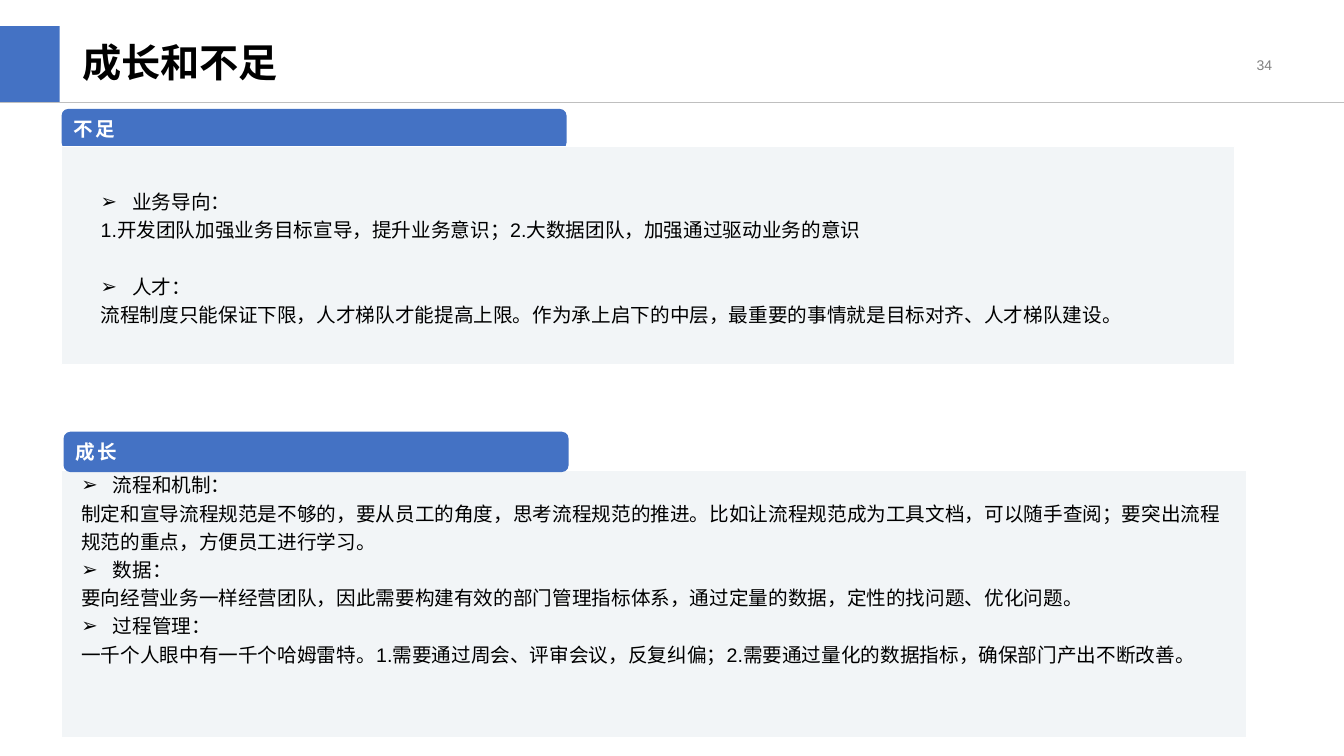
import pptx
import pptx.dml.color
import pptx.enum.shapes
import pptx.enum.text
import pptx.oxml
import pptx.oxml.ns
import pptx.util
from lxml import etree

Pt = pptx.util.Pt
SHAPES = pptx.enum.shapes.MSO_SHAPE
ANCHOR = pptx.enum.text.MSO_ANCHOR
ALIGN = pptx.enum.text.PP_ALIGN
qn = pptx.oxml.ns.qn

COLORS = {"accent": "4472C4", "panel": "F2F5F7", "white": "FFFFFF",
          "black": "000000", "rule": "BFBFBF", "number": "808080"}
HEADING_FONT = "Noto Sans CJK SC"
BODY_FONT = "Arial"
BODY_SIZE = 14
HANGING = 22.5
BLANK_LINE = 20.1

SHORTCOMINGS = [
    ("业务导向：",
     "1.开发团队加强业务目标宣导，提升业务意识；2.大数据团队，加强通过驱动业务的意识"),
    ("人才：",
     "流程制度只能保证下限，人才梯队才能提高上限。作为承上启下的中层，最重要的事情就是目标对齐、人才梯队建设。"),
]
GROWTH = [
    ("流程和机制：",
     "制定和宣导流程规范是不够的，要从员工的角度，思考流程规范的推进。比如让流程规范成为工具文档，"
     "可以随手查阅；要突出流程规范的重点，方便员工进行学习。"),
    ("数据：",
     "要向经营业务一样经营团队，因此需要构建有效的部门管理指标体系，通过定量的数据，定性的找问题、优化问题。"),
    ("过程管理：",
     "一千个人眼中有一千个哈姆雷特。1.需要通过周会、评审会议，反复纠偏；"
     "2.需要通过量化的数据指标，确保部门产出不断改善。"),
]


def rgb(name):
    return pptx.dml.color.RGBColor.from_string(COLORS[name])


class SlideBuilder:
    def __init__(self, slide):
        self.slide = slide

    def rule(self, y, width):
        line = self.slide.shapes.add_connector(
            pptx.enum.shapes.MSO_CONNECTOR.STRAIGHT, Pt(0), Pt(y), Pt(width), Pt(y))
        line.line.color.rgb = rgb("rule")
        line.line.width = Pt(0.5)
        etree.SubElement(line.element.spPr, qn("a:effectLst"))

    def block(self, box, fill, outline=None, kind=SHAPES.RECTANGLE):
        block = self.slide.shapes.add_shape(kind, *map(Pt, box))
        block.shadow.inherit = False
        block.fill.solid()
        block.fill.fore_color.rgb = rgb(fill)
        if outline:
            block.line.color.rgb = rgb(outline)
            block.line.width = Pt(1)
        else:
            block.line.fill.background()
        return block

    def panel(self, box):
        self.block(box, "panel", outline="white")

    def text_box(self, box):
        return self.slide.shapes.add_textbox(*map(Pt, box))

    def frame(self, holder, anchor=ANCHOR.TOP):
        frame = holder.text_frame
        frame.word_wrap = True
        frame.vertical_anchor = anchor
        return frame

    def run(self, paragraph, text, size=BODY_SIZE, font=BODY_FONT,
            color="black", bold=False, tracking=0):
        run = paragraph.add_run()
        run.text = text
        run.font.size = Pt(size)
        run.font.bold = bold
        run.font.color.rgb = rgb(color)
        run.font.name = font
        properties = run.font._element
        etree.SubElement(properties, qn("a:ea")).set("typeface", font)
        if tracking:
            properties.set("spc", str(round(tracking * 100)))

    def title(self, box, text):
        paragraph = self.frame(self.text_box(box)).paragraphs[0]
        paragraph.line_spacing = 0.9
        self.run(paragraph, text, 28, HEADING_FONT, bold=True)

    def page_number(self, box, text):
        paragraph = self.frame(self.text_box(box), ANCHOR.MIDDLE).paragraphs[0]
        paragraph.alignment = ALIGN.RIGHT
        self.run(paragraph, text, 10, color="number")

    def section_tab(self, left, top, text):
        tab = self.block((left, top, 360.7, 28.8), "accent",
                         kind=SHAPES.ROUNDED_RECTANGLE)
        paragraph = self.frame(tab, ANCHOR.MIDDLE).paragraphs[0]
        paragraph.alignment = ALIGN.LEFT
        paragraph.space_after = Pt(4)
        self.run(paragraph, text, font=HEADING_FONT, color="white",
                 bold=True, tracking=1.5)

    def bullet(self, paragraph):
        properties = paragraph._p.get_or_add_pPr()
        properties.set("marL", str(Pt(HANGING)))
        properties.set("indent", str(-Pt(HANGING)))
        etree.SubElement(properties, qn("a:buFont")).set("typeface", BODY_FONT)
        etree.SubElement(properties, qn("a:buChar")).set("char", "➢")

    def topics(self, holder, topics, gap=0):
        """Write each topic as a bulleted heading with its explanation below."""
        frame = self.frame(holder)
        frame.margin_top = Pt(3.6 + gap)
        for index, (heading, explanation) in enumerate(topics):
            head = frame.add_paragraph() if index else frame.paragraphs[0]
            self.bullet(head)
            if index and gap:
                head.space_before = Pt(gap)
            body = frame.add_paragraph()
            for paragraph, text in ((head, heading), (body, explanation)):
                paragraph.alignment = ALIGN.LEFT
                paragraph.line_spacing = 1.2
                self.run(paragraph, text)


def main():
    deck = pptx.Presentation()
    deck.slide_width, deck.slide_height = Pt(960), Pt(540)
    page = SlideBuilder(deck.slides.add_slide(deck.slide_layouts[6]))

    page.rule(72.8, 960)
    page.block((0, 18.7, 42.6, 54), "accent")
    page.title((51.8, 27.4, 571.7, 37.4), "成长和不足")
    page.page_number((699.8, 31.7, 216, 28.8), "34")

    page.section_tab(44, 77.8, "不足")
    page.panel((44, 104.8, 838, 155.5))
    shortcomings = page.block((64.8, 108.7, 802, 147.6), "panel")
    page.topics(shortcomings, SHORTCOMINGS, gap=BLANK_LINE)

    page.panel((44, 335.8, 846.5, 191.5))
    page.topics(page.text_box((51, 331.2, 839.5, 168.5)), GROWTH)
    page.section_tab(45.4, 308.4, "成长")

    deck.save("out.pptx")


if __name__ == "__main__":
    main()
